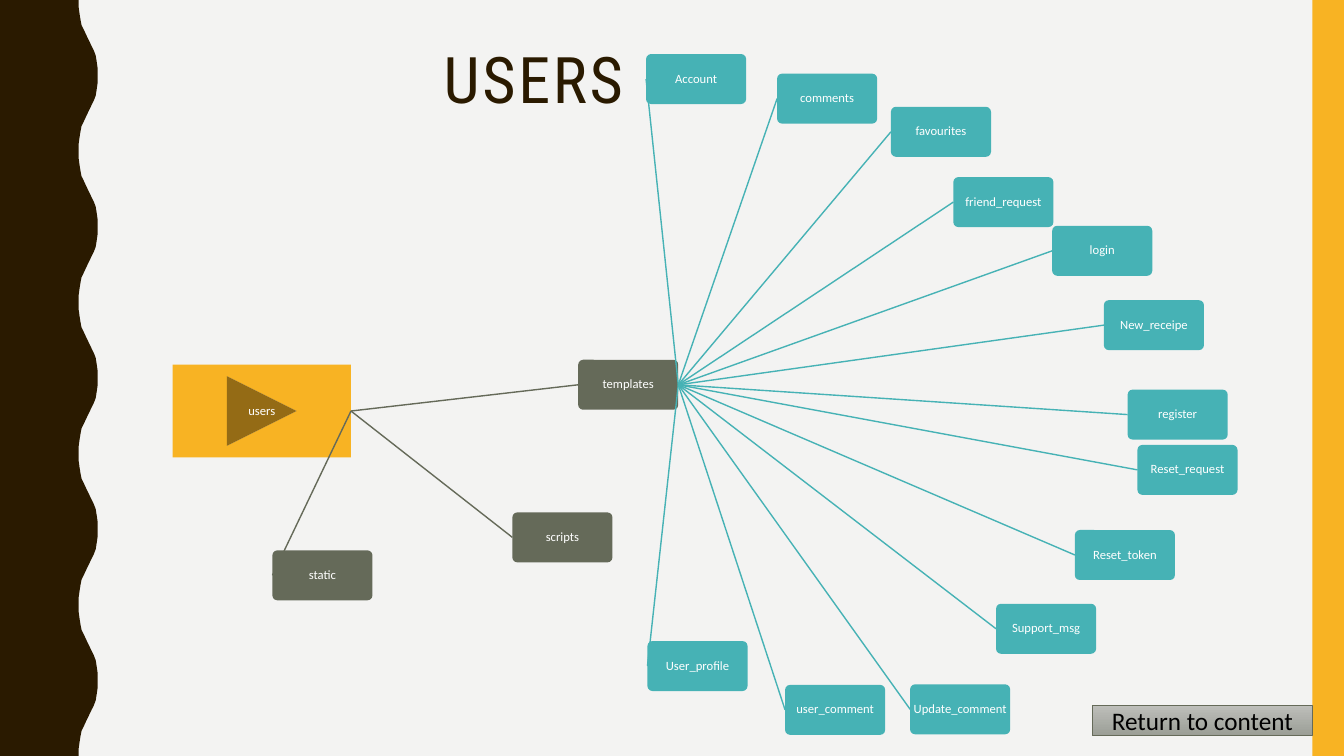
from dataclasses import dataclass

from pptx import Presentation
from pptx.dml.color import RGBColor
from pptx.enum.shapes import MSO_CONNECTOR, MSO_SHAPE
from pptx.enum.text import MSO_ANCHOR, MSO_AUTO_SIZE, PP_ALIGN
from pptx.oxml import parse_xml
from pptx.oxml.ns import nsdecls
from pptx.shapes.autoshape import Shape
from pptx.slide import Slide
from pptx.util import Pt

COLORS = {
    "background": "F3F3F2",
    "brown": "2A1A00",
    "amber": "F8B323",
    "olive": "656A59",
    "teal": "46B2B5",
    "white": "FFFFFF",
    "black": "000000",
    "button_top": "BEBFBB",
    "button_bottom": "9B9E96",
}
SLIDE_W, SLIDE_H = 960, 540
NODE_W, NODE_H = 71.5, 35.7
WAVE_PERIOD = 108
# (x, y) along the first half of one wave, from trough to crest
HALF_WAVE = [
    (56.2, 0), (56.2, 5), (56.9, 10), (57.6, 14.4), (58.3, 18),
    (59.8, 21), (61.2, 24), (62.6, 27), (64.1, 30), (65.5, 33),
    (67, 36), (68.4, 39.6), (69.1, 44), (69.8, 49), (69.8, 54),
]


@dataclass(frozen=True)
class Node:
    label: str
    left: float
    top: float
    width: float = NODE_W
    height: float = NODE_H

    @property
    def middle(self) -> float:
        return self.top + self.height / 2


USERS = Node("users", 123.3, 260.4, 127.4, 66.4)
TEMPLATES = Node("templates", 413, 257)
FOLDERS = [Node("scripts", 366, 366), Node("static", 194.6, 393.1)]
PAGES = [
    Node("Account", 461.5, 38.6),
    Node("comments", 555.1, 52.6),
    Node("favourites", 636.4, 76.3),
    Node("friend_request", 681, 126.5),
    Node("login", 751.6, 161.3),
    Node("New_receipe", 788.5, 214.4),
    Node("register", 805.5, 278.3),
    Node("Reset_token", 767.8, 378.6),
    Node("Reset_request", 812.5, 317.8),
    Node("user_comment", 560.8, 489.2),
    Node("Update_comment", 650.1, 488.8),
    Node("Support_msg", 711.5, 431.3),
    Node("User_profile", 462.5, 457.9),
]


def rgb(name: str) -> RGBColor:
    return RGBColor.from_string(COLORS[name])


def paint(sp: Shape, color: str) -> None:
    sp.shadow.inherit = False
    sp.fill.solid()
    sp.fill.fore_color.rgb = rgb(color)
    sp.line.fill.background()


def write(sp: Shape, text: str, size: float, color: str) -> None:
    tf = sp.text_frame
    tf.word_wrap = True
    tf.vertical_anchor = MSO_ANCHOR.MIDDLE
    p = tf.paragraphs[0]
    p.text = text
    p.alignment = PP_ALIGN.CENTER
    p.font.name = "Calibri"
    p.font.size = Pt(size)
    p.font.color.rgb = rgb(color)


def add_wave(slide: Slide) -> None:
    crest_to_trough = [(x, WAVE_PERIOD - y) for x, y in reversed(HALF_WAVE[:-1])]
    wave = HALF_WAVE + crest_to_trough
    edge = [
        (Pt(x), Pt(y + start))
        for start in range(0, SLIDE_H, WAVE_PERIOD)
        for x, y in wave
    ]
    builder = slide.shapes.build_freeform(0, 0)
    builder.add_line_segments(edge + [(0, Pt(SLIDE_H))], close=True)
    paint(builder.convert_to_shape(), "brown")


def add_side_bar(slide: Slide) -> None:
    left = 937.5
    sp = slide.shapes.add_shape(
        MSO_SHAPE.RECTANGLE, Pt(left), 0, Pt(SLIDE_W - left), Pt(SLIDE_H)
    )
    paint(sp, "amber")


def set_title(slide: Slide) -> None:
    title = slide.shapes.title
    title.left, title.top, title.width, title.height = Pt(309.6), Pt(30.5), Pt(168), Pt(41)
    tf = title.text_frame
    tf.auto_size = MSO_AUTO_SIZE.NONE
    tf.vertical_anchor = MSO_ANCHOR.TOP
    p = tf.paragraphs[0]
    p.alignment = PP_ALIGN.LEFT
    p.line_spacing = 0.9
    p.font.name = "Roboto Condensed"
    p.font.size = Pt(45.9)
    p.font.color.rgb = rgb("brown")
    r = p.add_run()
    r.text = "USERS"
    r._r.get_or_add_rPr().set("spc", "200")


def add_node(slide: Slide, node: Node, shape: MSO_SHAPE, color: str) -> None:
    sp = slide.shapes.add_shape(
        shape, Pt(node.left), Pt(node.top), Pt(node.width), Pt(node.height)
    )
    if shape == MSO_SHAPE.ROUNDED_RECTANGLE:
        sp.adjustments[0] = 0.1
    paint(sp, color)
    write(sp, node.label, 9, "white")
    tf = sp.text_frame
    tf.margin_left = tf.margin_right = tf.margin_top = tf.margin_bottom = Pt(0.75)
    tf.paragraphs[0].line_spacing = 0.9


def add_child(slide: Slide, parent: Node, child: Node, color: str) -> None:
    """Draw the link from the parent's right edge, then the child over its end."""
    link = slide.shapes.add_connector(
        MSO_CONNECTOR.STRAIGHT,
        Pt(parent.left + parent.width), Pt(parent.middle),
        Pt(child.left), Pt(child.middle),
    )
    link.line.color.rgb = rgb(color)
    link.line.width = Pt(1)
    link._element.spPr.append(parse_xml(f"<a:effectLst {nsdecls('a')}/>"))
    add_node(slide, child, MSO_SHAPE.ROUNDED_RECTANGLE, color)


def add_return_button(slide: Slide) -> None:
    sp = slide.shapes.add_shape(
        MSO_SHAPE.RECTANGLE, Pt(780.3), Pt(503.6), Pt(157.2), Pt(21.8)
    )
    sp.shadow.inherit = False
    sp.fill.gradient()
    sp.fill.gradient_angle = 270
    for stop, color in zip(sp.fill.gradient_stops, ("button_top", "button_bottom")):
        stop.color.rgb = rgb(color)
    sp.line.color.rgb = rgb("olive")
    sp.line.width = Pt(0.5)
    write(sp, "Return to content", 18, "black")


def main() -> None:
    prs = Presentation()
    prs.slide_width, prs.slide_height = Pt(SLIDE_W), Pt(SLIDE_H)
    slide = prs.slides.add_slide(prs.slide_layouts.get_by_name("Title Only"))
    slide.background.fill.solid()
    slide.background.fill.fore_color.rgb = rgb("background")

    add_wave(slide)
    add_side_bar(slide)
    set_title(slide)
    add_node(slide, USERS, MSO_SHAPE.ACTION_BUTTON_FORWARD_OR_NEXT, "amber")
    add_child(slide, USERS, TEMPLATES, "olive")
    for page in PAGES:
        add_child(slide, TEMPLATES, page, "teal")
    for folder in FOLDERS:
        add_child(slide, USERS, folder, "olive")
    add_return_button(slide)
    prs.save("out.pptx")


if __name__ == "__main__":
    main()
